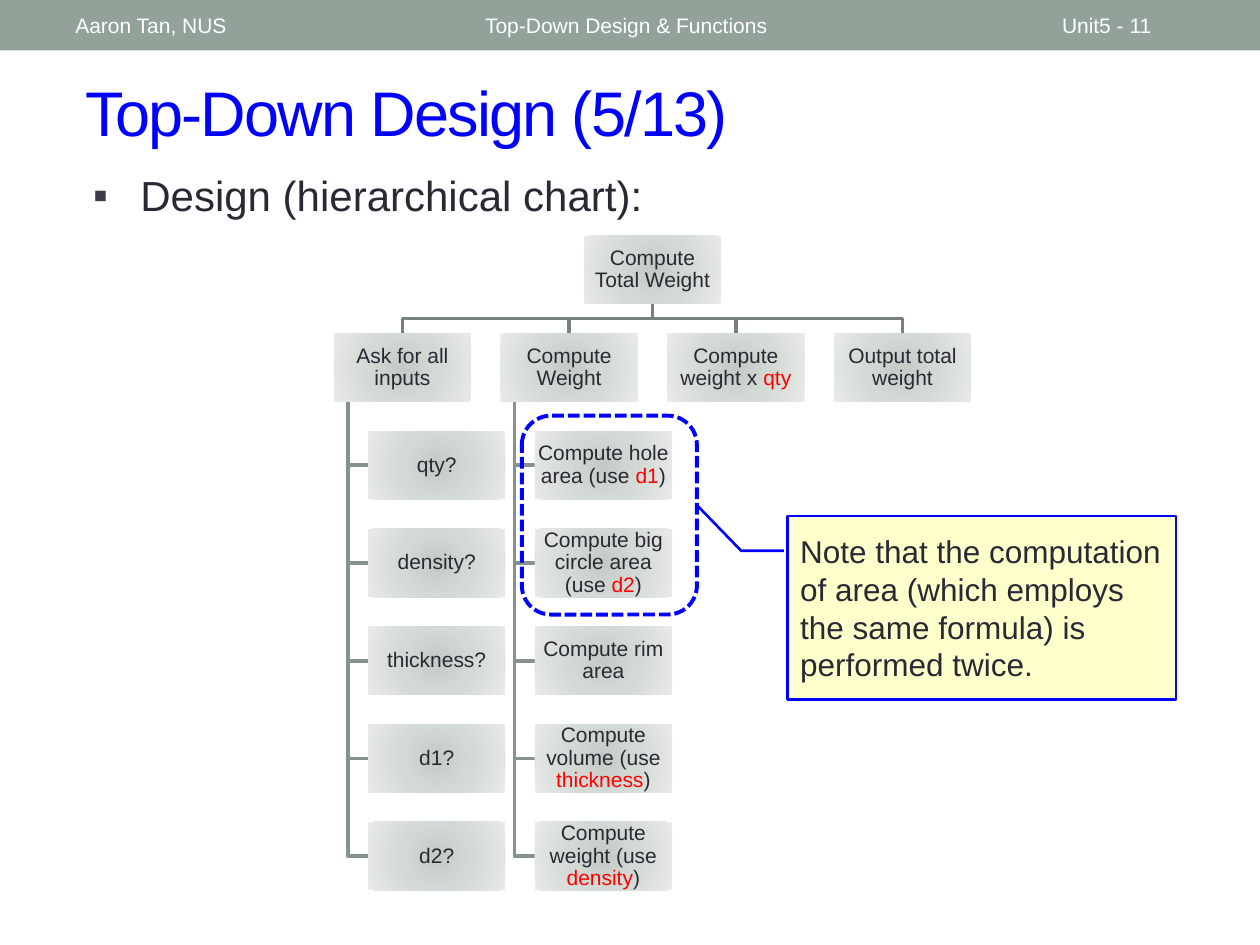
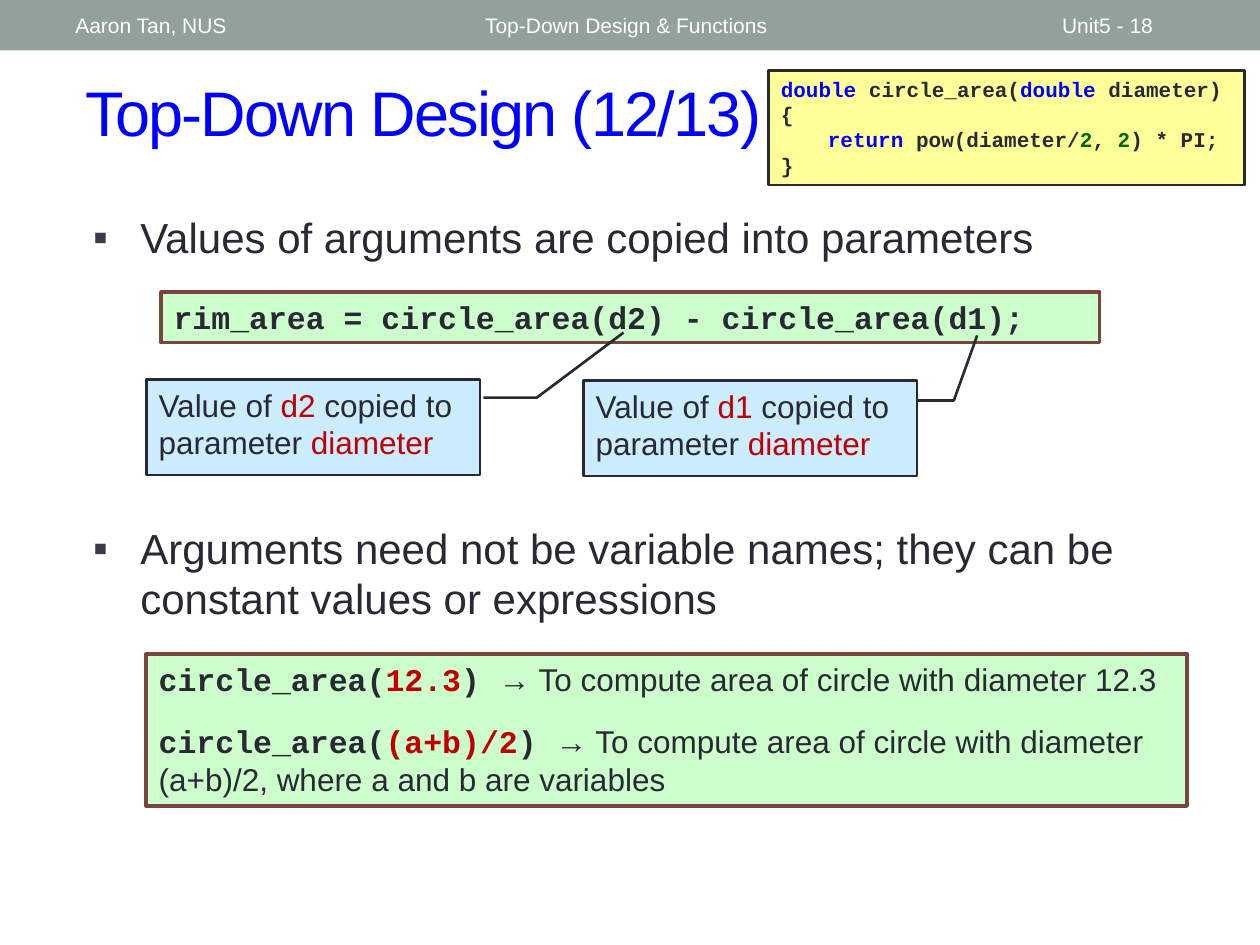
from pptx import Presentation
from pptx.dml.color import RGBColor
from pptx.enum.dml import MSO_LINE
from pptx.enum.shapes import MSO_SHAPE
from pptx.enum.text import MSO_ANCHOR, PP_ALIGN
from pptx.oxml import parse_xml
from pptx.oxml.ns import nsdecls, qn
from pptx.util import Cm, Pt

SANS, MONO = "Arial", "Courier New"
INK, WHITE, BLUE, RED, DARK_RED = "292934", "FFFFFF", "0000FF", "FF0000", "C00000"
BAND, BULLET, GREEN, BROWN = "93A299", "3B3B4B", "006600", "79463D"
MINT, SKY, CREAM, YELLOW = "CCFFCC", "CCECFF", "FFFFCC", "FFFF99"
UPPER_LINE, LOWER_LINE = "76827B", "85938B"
GRADIENT = [(0, "C4CAC6"), (45, "D3DAD6"), (100, "E7EAE8")]


def rgb(color):
    """Turn a hex string into a colour."""
    return RGBColor.from_string(color)


def write(p, runs, size, color=INK, font=SANS, bold=False):
    """Fill a paragraph with strings or (text, colour, font) runs."""
    p.font.size, p.font.name, p.font.bold = Pt(size), font, bold
    p.font.color.rgb = rgb(color)
    for run in runs:
        text, tint, face = run if isinstance(run, tuple) else (run, color, font)
        r = p.add_run()
        r.text = text
        if tint != color:
            r.font.color.rgb = rgb(tint)
        if face != font:
            r.font.name, r.font.bold = face, False


def add_props(p, *tags):
    """Put paragraph properties ahead of the default font."""
    for tag in tags:
        name, rest = tag.split(" ", 1)
        xml = f"<a:{name} {nsdecls('a')} {rest}"
        p._p.pPr[-1].addprevious(parse_xml(xml))


def add_text(s, box, runs, size, color=INK, anchor=MSO_ANCHOR.TOP):
    """Add a one-paragraph text box and return its paragraph."""
    tf = s.shapes.add_textbox(*map(Cm, box)).text_frame
    tf.word_wrap = True
    tf.vertical_anchor = anchor
    p = tf.paragraphs[0]
    write(p, runs, size, color)
    return p


def add_box(s, box, fill=None, line=None, width=1.5, kind=MSO_SHAPE.RECTANGLE):
    """Add a flat shape with left-aligned text at the top."""
    sp = s.shapes.add_shape(kind, *map(Cm, box))
    sp.shadow.inherit = False
    if fill:
        sp.fill.solid()
        sp.fill.fore_color.rgb = rgb(fill)
    else:
        sp.fill.background()
    if line:
        sp.line.color.rgb = rgb(line)
        sp.line.width = Pt(width)
    else:
        sp.line.fill.background()
    tf = sp.text_frame
    tf.word_wrap = True
    tf.vertical_anchor = MSO_ANCHOR.TOP
    tf.paragraphs[0].alignment = PP_ALIGN.LEFT
    return sp


def add_callout(s, box, runs, points, fill, line, flip=False):
    """Add a bordered note with a bent leader line."""
    sp = add_box(s, box, fill, line, kind=MSO_SHAPE.LINE_CALLOUT_2)
    for i, value in enumerate(points):
        sp.adjustments[i] = value
    if flip:
        sp._element.spPr.find(qn("a:xfrm")).set("flipH", "1")
    write(sp.text_frame.paragraphs[0], runs, 18)
    return sp


def add_bullet(s, box, text):
    """Add a square-bulleted statement."""
    p = add_text(s, box, [text], 24)
    p.space_before = Pt(6)
    p._p.pPr.set("marL", str(Cm(0.95)))
    p._p.pPr.set("indent", str(-Cm(0.95)))
    add_props(p, f'buClr ><a:srgbClr val="{BULLET}"/></a:buClr>',
              'buFont typeface="Arial"/>', 'buChar char="▪"/>')


def add_frame(prs, title, number):
    """Start a slide with the header band and the title."""
    s = prs.slides.add_slide(prs.slide_layouts[6])
    add_box(s, (0, 0, 25.4, 1.02), BAND)
    for left, width, text in ((1.27, 8.05, "Aaron Tan, NUS"),
                              (9.53, 11.43, "Top-Down Design & Functions"),
                              (21.16, 2.97, f"Unit5 - {number}")):
        add_text(s, (left, 0.05, width, 0.91), [text], 12, WHITE, MSO_ANCHOR.MIDDLE)
    p = add_text(s, (1.47, 1.07, 23.29, 2.34), [title], 36, BLUE, MSO_ANCHOR.MIDDLE)
    p.runs[0].font._element.set("spc", "-100")
    return s


def add_elbow(s, points, color):
    """Draw an open bent line through the points."""
    start, *rest = [(Cm(x), Cm(y)) for x, y in points]
    builder = s.shapes.build_freeform(*start)
    builder.add_line_segments(rest, close=False)
    sp = builder.convert_to_shape()
    sp.shadow.inherit = False
    sp.fill.background()
    sp.line.color.rgb = rgb(color)
    sp.line.width = Pt(2.08)


def add_node(s, box, runs):
    """Add one gradient box of the hierarchy."""
    sp = add_box(s, box)
    stops = "".join(f'<a:gs pos="{pos * 1000}"><a:srgbClr val="{color}"/></a:gs>'
                    for pos, color in GRADIENT)
    spPr = sp._element.spPr
    spPr.replace(spPr.find(qn("a:noFill")), parse_xml(
        f'<a:gradFill {nsdecls("a")}><a:gsLst>{stops}</a:gsLst><a:path path="circle">'
        '<a:fillToRect l="50000" t="50000" r="50000" b="50000"/></a:path></a:gradFill>'))
    tf = sp.text_frame
    tf.margin_left = tf.margin_right = tf.margin_top = tf.margin_bottom = Cm(0.03)
    tf.vertical_anchor = MSO_ANCHOR.MIDDLE
    p = tf.paragraphs[0]
    p.alignment, p.line_spacing = PP_ALIGN.CENTER, 0.9
    write(p, runs, 12)


def add_hierarchy(s, left, top, root, branches):
    """Draw the root, its branches in a row and their steps in columns."""
    w, h, col, row, inset, trunk = 2.77, 1.38, 3.36, 1.97, 0.69, 0.28
    root_left = left + col * (len(branches) - 1) / 2
    nodes = [(root_left, top, root)]
    mid, bottom = root_left + w / 2, top + h
    for i, (branch, steps) in enumerate(branches):
        x, y = left + i * col, top + row
        bend = (bottom + y) / 2
        add_elbow(s, [(mid, bottom), (mid, bend), (x + w / 2, bend), (x + w / 2, y)],
                  UPPER_LINE)
        nodes.append((x, y, branch))
        for j, step in enumerate(steps, 1):
            step_top = y + j * row
            middle = step_top + h / 2
            add_elbow(s, [(x + trunk, y + h), (x + trunk, middle), (x + inset, middle)],
                      LOWER_LINE)
            nodes.append((x + inset, step_top, step))
    for x, y, runs in nodes:
        add_node(s, (x, y, w, h), runs)


def add_code(s, box):
    """Show the function definition."""
    sp = add_box(s, box, YELLOW, INK)
    lines = [[("double ", BLUE, MONO), "circle_area(", ("double", BLUE, MONO), " diameter) {"],
             ["\t", ("return ", BLUE, MONO), "pow(diameter/", ("2", GREEN, MONO), ", ",
              ("2", GREEN, MONO), ") * PI;"],
             ["}"]]
    tf = sp.text_frame
    for i, runs in enumerate(lines):
        p = tf.add_paragraph() if i else tf.paragraphs[0]
        p.alignment = PP_ALIGN.LEFT
        write(p, runs, 12, font=MONO, bold=True)
        add_props(p, f'tabLst ><a:tab pos="{Cm(0.95)}" algn="l"/></a:tabLst>')


def add_examples(s, box):
    """Show calls with a constant and with an expression."""
    tf = add_box(s, box, MINT, BROWN, 2.08).text_frame
    examples = [("12.3", "12.3"), ("(a+b)/2", "(a+b)/2, where a and b are variables")]
    for i, (argument, meaning) in enumerate(examples):
        p = tf.add_paragraph() if i else tf.paragraphs[0]
        p.alignment = PP_ALIGN.LEFT
        p.space_before = Pt(14 * i)
        note = f"→ To compute area of circle with diameter {meaning}"
        write(p, ["circle_area(", (argument, DARK_RED, MONO), ") ", (note, INK, SANS)],
              18, font=MONO, bold=True)


def use(action, name):
    """Build the runs of a step that uses a variable."""
    return [f"{action} (use ", (name, RED, SANS), ")"]


def hierarchy_slide(prs):
    """Build the slide with the hierarchical chart."""
    s = add_frame(prs, "Top-Down Design (5/13)", 11)
    add_bullet(s, (1.63, 3.3, 14.91, 1.3), "Design (hierarchical chart):")
    inputs = [[f"{name}?"] for name in ("qty", "density", "thickness", "d1", "d2")]
    steps = [use("Compute hole area", "d1"), use("Compute big circle area", "d2"),
             ["Compute rim area"], use("Compute volume", "thickness"),
             use("Compute weight", "density")]
    branches = [(["Ask for all inputs"], inputs), (["Compute Weight"], steps),
                (["Compute weight x ", ("qty", RED, SANS)], []),
                (["Output total weight"], [])]
    add_hierarchy(s, 6.73, 4.75, ["Compute Total Weight"], branches)
    ring = add_box(s, (10.52, 8.38, 3.53, 4.01), None, BLUE, 2.25,
                   MSO_SHAPE.ROUNDED_RECTANGLE)
    ring.line.dash_style = MSO_LINE.SQUARE_DOT
    note = add_callout(s, (15.88, 10.4, 7.83, 3.7),
                       ["Note that the computation of area (which employs the same "
                        "formula) is performed twice."],
                       (0.19, -0.01, 0.19, -0.12, -0.05, -0.23), CREAM, BLUE)
    note.text_frame.vertical_anchor = MSO_ANCHOR.MIDDLE


def argument_slide(prs):
    """Build the slide on arguments and parameters."""
    s = add_frame(prs, "Top-Down Design (12/13)", 18)
    add_bullet(s, (1.63, 4.14, 22.86, 1.3), "Values of arguments are copied into parameters")
    call = add_box(s, (3.25, 5.89, 18.92, 1.02), MINT, BROWN, 2.08)
    write(call.text_frame.paragraphs[0], ["rim_area = circle_area(d2) - circle_area(d1);"],
          18, font=MONO, bold=True)
    for left, top, name, points in (
            (2.95, 7.65, "d2", (0.19, -0.01, 0.19, -0.17, -0.49, -0.43)),
            (11.76, 7.67, "d1", (0.21, 0, 0.21, -0.11, -0.47, -0.18))):
        add_callout(s, (left, top, 6.73, 1.93),
                    ["Value of ", (name, DARK_RED, SANS), " copied to parameter ",
                     ("diameter", DARK_RED, SANS)], points, SKY, INK, flip=True)
    add_bullet(s, (1.63, 10.41, 22.86, 2.62), "Arguments need not be variable names; "
               "they can be constant values or expressions")
    add_examples(s, (2.95, 13.18, 20.98, 3.07))
    add_code(s, (15.49, 1.42, 9.6, 2.31))


prs = Presentation()
prs.slide_width, prs.slide_height = Cm(25.4), Cm(19.05)
hierarchy_slide(prs)
argument_slide(prs)
prs.save("out.pptx")
